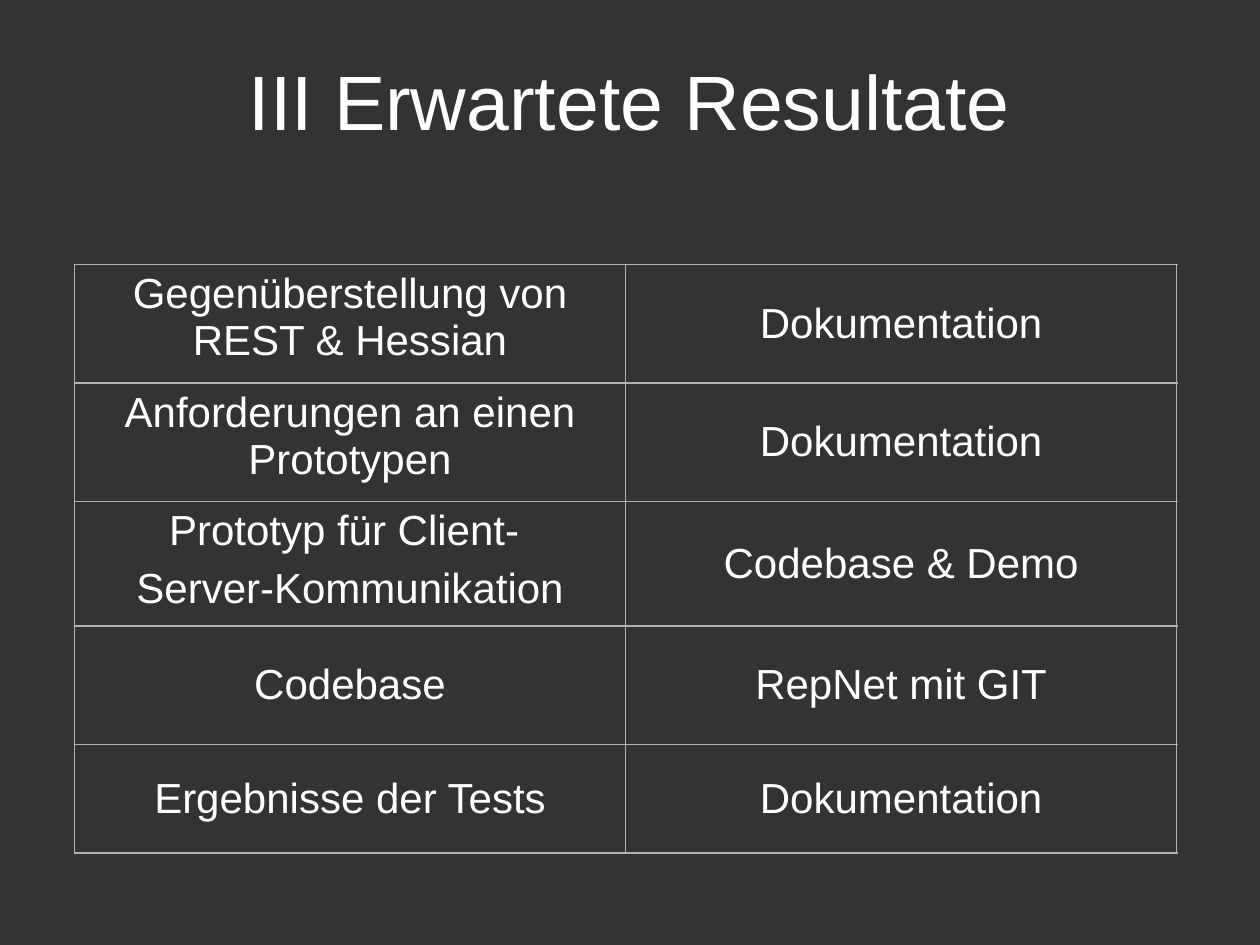
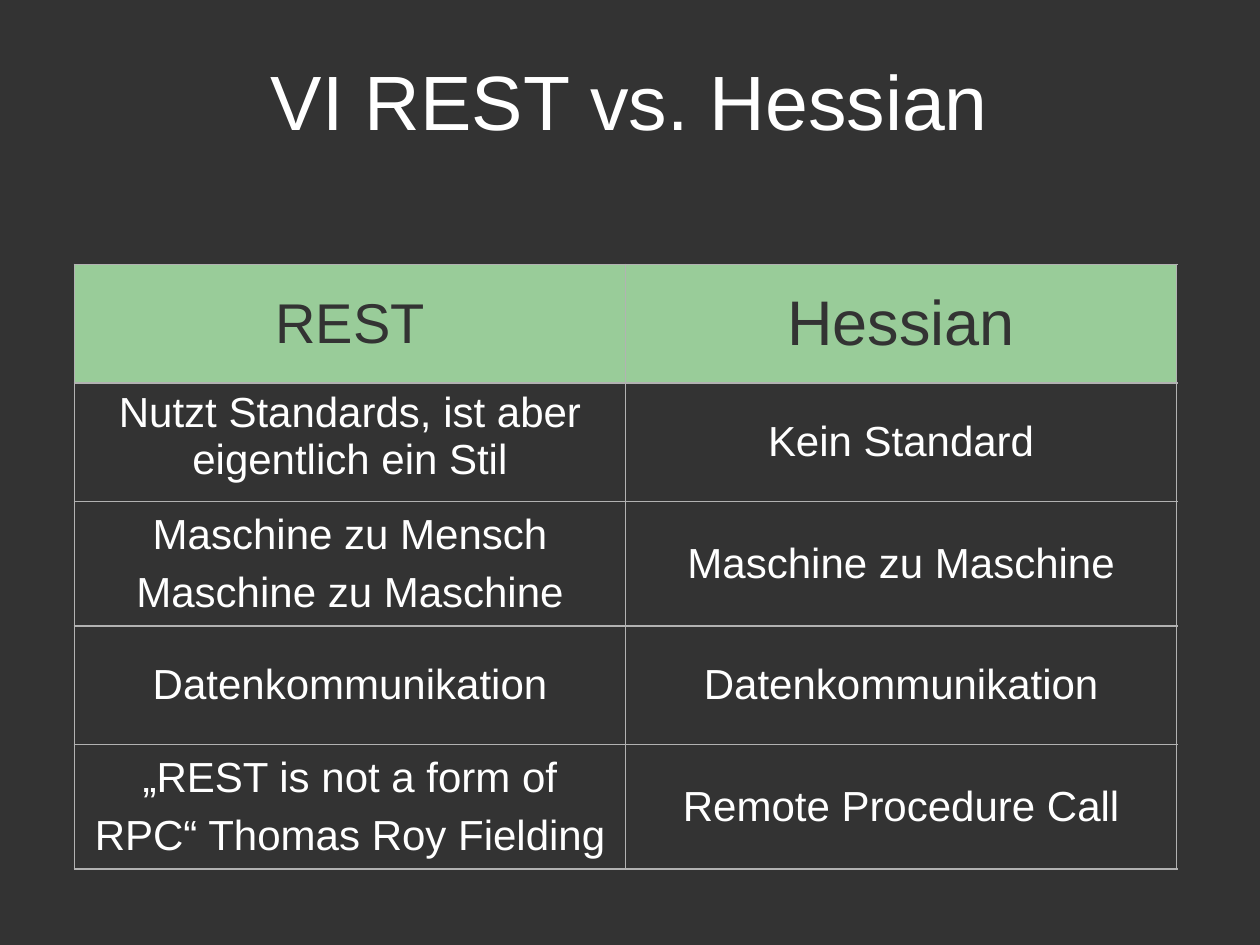
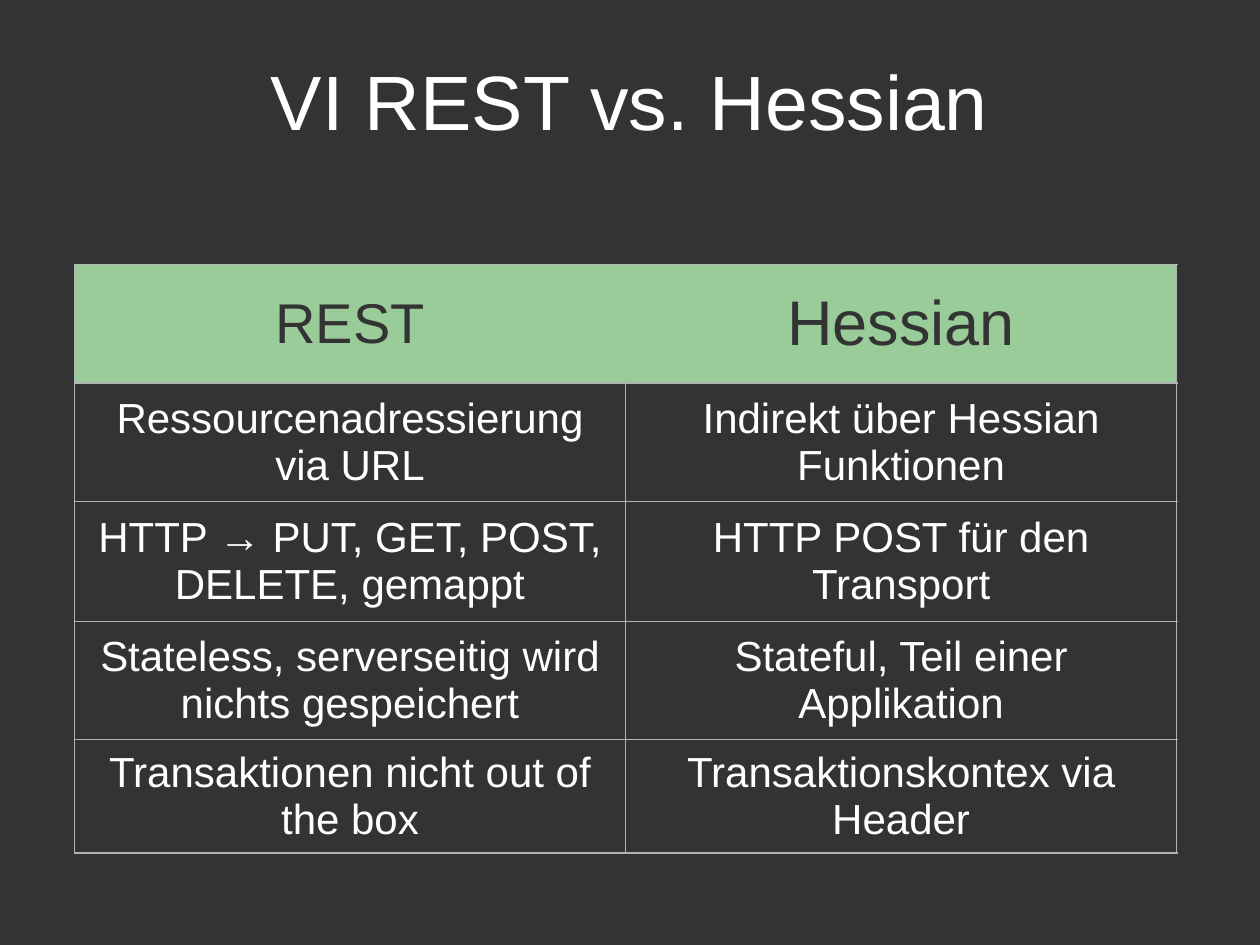
from pptx import Presentation
from pptx.dml.color import RGBColor
from pptx.enum.text import MSO_ANCHOR, PP_ALIGN
from pptx.oxml.ns import qn
from pptx.util import Cm, Pt
from lxml import etree

CHARCOAL = RGBColor(0x33, 0x33, 0x33)
WHITE = RGBColor(0xFF, 0xFF, 0xFF)
GREEN = RGBColor(0x99, 0xCC, 0x99)
GRID_GREY = RGBColor(0xB2, 0xB2, 0xB2)
FONT = "Arial"
OUTER, INNER = Pt(1.08), Pt(0.75)

SLIDE_SIZE = (Cm(25.4), Cm(19.05))
TITLE_BOX = (Cm(0), Cm(0), Cm(25.4), Cm(4.24))
TABLE_BOX = (Cm(1.5), Cm(5.33), Cm(22.22))  # left, top, width

HEADINGS = [("REST", 32), ("Hessian", 36)]

# Row heights in cm; "top" lists the rows whose left cell is top-aligned
SLIDES = [
    dict(
        title="III Erwartete Resultate", headings=[], top={0, 1, 2},
        heights=[2.39, 2.39, 2.51, 2.39, 2.18],
        rows=[
            ("Gegenüberstellung von REST & Hessian", "Dokumentation"),
            ("Anforderungen an einen Prototypen", "Dokumentation"),
            ("Prototyp für Client- \nServer-Kommunikation", "Codebase & Demo"),
            ("Codebase", "RepNet mit GIT"),
            ("Ergebnisse der Tests", "Dokumentation"),
        ],
    ),
    dict(
        title="VI REST vs. Hessian", headings=HEADINGS, top={1},
        heights=[2.39, 2.39, 2.51, 2.39, 2.51],
        rows=[
            ("Nutzt Standards, ist aber eigentlich ein Stil", "Kein Standard"),
            ("Maschine zu Mensch\nMaschine zu Maschine", "Maschine zu Maschine"),
            ("Datenkommunikation", "Datenkommunikation"),
            ("„REST is not a form of\nRPC“ Thomas Roy Fielding", "Remote Procedure Call"),
        ],
    ),
    dict(
        title="VI REST vs. Hessian", headings=HEADINGS, top=set(),
        heights=[2.39, 2.39, 2.41, 2.39, 2.29],
        rows=[
            ("Ressourcenadressierung via URL", "Indirekt über Hessian Funktionen"),
            ("HTTP → PUT, GET, POST, DELETE, gemappt", "HTTP POST für den Transport"),
            ("Stateless, serverseitig wird nichts gespeichert", "Stateful, Teil einer Applikation"),
            ("Transaktionen nicht out of the box", "Transaktionskontex via Header"),
        ],
    ),
]


def write(frame, wording, size, color):
    """Fill a text frame with centred paragraphs, one per line of wording."""
    frame.text = wording
    for paragraph in frame.paragraphs:
        paragraph.alignment = PP_ALIGN.CENTER
        paragraph.font.name = FONT
        paragraph.font.size = Pt(size)
        paragraph.font.color.rgb = color


def add_title(slide, box, wording):
    frame = slide.shapes.add_textbox(*box).text_frame
    frame.word_wrap = True
    frame.vertical_anchor = MSO_ANCHOR.MIDDLE
    write(frame, wording, 44, WHITE)
    frame.paragraphs[0].line_spacing = 0.9


def draw_borders(cell, widths):
    """Draw the cell's edges; widths maps L, R, T, B to line widths."""
    properties = cell._tc.get_or_add_tcPr()
    for side, width in widths.items():
        edge = etree.SubElement(properties, qn(f"a:ln{side}"), w=str(width))
        paint = etree.SubElement(edge, qn("a:solidFill"))
        etree.SubElement(paint, qn("a:srgbClr"), val=str(GRID_GREY))


def fill_cell(cell, wording, size, color, background, anchor):
    write(cell.text_frame, wording, size, color)
    for paragraph in cell.text_frame.paragraphs:
        paragraph.space_before = Pt(size // 4)
    cell.vertical_anchor = anchor
    if background is None:
        cell.fill.background()
    else:
        cell.fill.solid()
        cell.fill.fore_color.rgb = background


def add_comparison(slide, box, headings, rows, heights, top):
    left, upper, width = box
    last = len(heights) - 1
    table = slide.shapes.add_table(
        len(heights), 2, left, upper, width, Cm(sum(heights))).table
    table.first_row = table.horz_banding = False
    for row, height in zip(table.rows, heights):
        row.height = Cm(height)

    # Heading row, if any, followed by the body rows
    heading_row = [[(name, size, CHARCOAL, GREEN) for name, size in headings]] if headings else []
    body = [[(wording, 24, WHITE, None) for wording in pair] for pair in rows]
    for r, entries in enumerate(heading_row + body):
        for c, entry in enumerate(entries):
            cell = table.cell(r, c)
            draw_borders(cell, {
                "L": OUTER if c == 0 else INNER,
                "R": OUTER if c == 1 else INNER,
                "T": OUTER if r == 0 else INNER,
                "B": OUTER if r == last else INNER,
            })
            at_top = c == 0 and r in top
            fill_cell(cell, *entry, MSO_ANCHOR.TOP if at_top else MSO_ANCHOR.MIDDLE)


def add_table_slide(deck, title, **comparison):
    slide = deck.slides.add_slide(deck.slide_layouts[6])
    slide.background.fill.solid()
    slide.background.fill.fore_color.rgb = CHARCOAL
    add_comparison(slide, TABLE_BOX, **comparison)
    add_title(slide, TITLE_BOX, title)


def main():
    deck = Presentation()
    deck.slide_width, deck.slide_height = SLIDE_SIZE
    for content in SLIDES:
        add_table_slide(deck, **content)
    deck.save("out.pptx")


if __name__ == "__main__":
    main()
